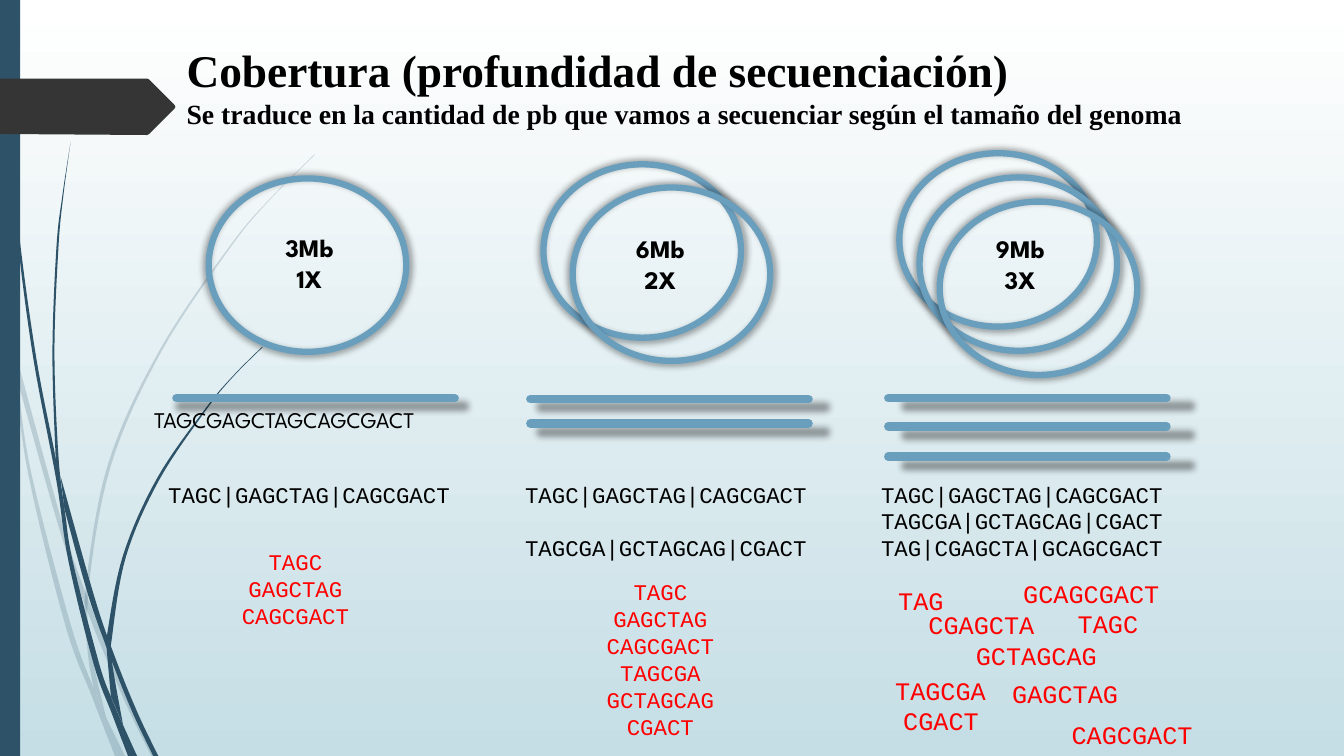
import pptx
import pptx.util
import pptx.dml.color
import pptx.enum.shapes
import pptx.enum.text
import pptx.oxml
from pptx.util import Inches

NS = 'xmlns:a="http://schemas.openxmlformats.org/drawingml/2006/main"'
GLOW = ('<a:outerShdw blurRad="63500" sx="102000" sy="102000" algn="ctr" rotWithShape="0">'
        '<a:srgbClr val="000000"><a:alpha val="40000"/></a:srgbClr></a:outerShdw>')
MONO, SPARTAN, SERIF = "Courier New", "League Spartan", "Times New Roman"
NAVY, BLUE, GREY, BLACK, RED = "2E5369", "699EBD", "353535", "000000", "FF0000"


def rgb(value):
    return pptx.dml.color.RGBColor.from_string(value)


def smooth(points, steps=8):
    """Catmull-Rom curve through the points."""
    pts = [points[0], *points, points[-1]]
    curve = [points[0]]
    for a, b, c, d in zip(pts, pts[1:], pts[2:], pts[3:]):
        for i in range(1, steps + 1):
            t = i / steps
            curve.append(tuple(
                (2 * q + (r - p) * t + (2 * p - 5 * q + 4 * r - z) * t ** 2
                 + (3 * q - p - 3 * r + z) * t ** 3) / 2
                for p, q, r, z in zip(a, b, c, d)))
    return curve


class Deck:
    def __init__(self):
        self.prs = pptx.Presentation()
        self.prs.slide_width, self.prs.slide_height = Inches(13.33), Inches(7.5)
        self.s = self.prs.slides.add_slide(self.prs.slide_layouts[5])

    def background(self, top, bottom):
        fill = self.s.background.fill
        fill.gradient()
        fill.gradient_angle = 270
        for stop, position, color in zip(fill.gradient_stops, (0, 1), (top, bottom)):
            stop.position = position
            stop.color.rgb = rgb(color)

    def paint(self, sp, color, alpha=100):
        sp.shadow.inherit = False
        sp.line.fill.background()
        sp.fill.solid()
        sp.fill.fore_color.rgb = rgb(color)
        if alpha < 100:
            clr = sp.fill._xPr.find(".//" + pptx.oxml.ns.qn("a:srgbClr"))
            clr.append(pptx.oxml.parse_xml(f'<a:alpha {NS} val="{alpha * 1000}"/>'))

    def polygon(self, points, color, alpha=100):
        emu = [(Inches(x), Inches(y)) for x, y in points]
        builder = self.s.shapes.build_freeform(*emu[0], scale=1.0)
        builder.add_line_segments(emu[1:], close=True)
        self.paint(builder.convert_to_shape(), color, alpha)

    def band(self, x, y, w, h, color):
        kind = pptx.enum.shapes.MSO_SHAPE.RECTANGLE
        sp = self.s.shapes.add_shape(kind, Inches(x), Inches(y), Inches(w), Inches(h))
        self.paint(sp, color)

    def outline(self, sp, width):
        sp.line.color.rgb = rgb(BLUE)
        sp.line.width = pptx.util.Pt(width)
        sp._element.spPr.append(pptx.oxml.parse_xml(f"<a:effectLst {NS}>{GLOW}</a:effectLst>"))

    def ring(self, x, y):
        kind = pptx.enum.shapes.MSO_SHAPE.OVAL
        sp = self.s.shapes.add_shape(kind, Inches(x), Inches(y), Inches(1.96), Inches(1.72))
        sp.fill.background()
        self.outline(sp, 4.5)

    def strand(self, x, y, length=2.76):
        kind = pptx.enum.shapes.MSO_CONNECTOR.STRAIGHT
        line = self.s.shapes.add_connector(kind, Inches(x), Inches(y), Inches(x + length), Inches(y))
        self.outline(line, 6)
        line.line._ln.set("cap", "rnd")

    def style(self, r, size, font, color, bold=False):
        r.font.size, r.font.name, r.font.bold = pptx.util.Pt(size), font, bold
        r.font.color.rgb = rgb(color)

    def title(self, x, y, w, h, lines, sizes):
        sp = self.s.shapes.title
        sp.left, sp.top, sp.width, sp.height = Inches(x), Inches(y), Inches(w), Inches(h)
        tf = sp.text_frame
        tf.auto_size = pptx.enum.text.MSO_AUTO_SIZE.NONE
        tf.word_wrap = True
        tf.vertical_anchor = pptx.enum.text.MSO_ANCHOR.TOP
        tf.margin_top = Inches(0.11)
        p = tf.paragraphs[0]
        p.text = "\v".join(lines)
        p.alignment = pptx.enum.text.PP_ALIGN.LEFT
        for r, size in zip(p.runs, sizes):
            self.style(r, size, SERIF, BLACK, True)

    def text(self, x, y, w, h, lines, size=16, font=MONO, color=BLACK,
             bold=False, center=False, gap=0):
        sp = self.s.shapes.add_textbox(Inches(x), Inches(y), Inches(w), Inches(h))
        tf = sp.text_frame
        tf.word_wrap = False
        tf.auto_size = pptx.enum.text.MSO_AUTO_SIZE.SHAPE_TO_FIT_TEXT
        tf.text = "\n".join(lines)
        align = pptx.enum.text.PP_ALIGN
        for i, p in enumerate(tf.paragraphs):
            p.alignment = align.CENTER if center else align.LEFT
            if gap and i:
                p.space_before = pptx.util.Pt(gap)
            for r in p.runs:
                self.style(r, size, font, color, bold)


# Wisps: right edge going down, left edge going up
FAINT_WISPS = [
    ([(0, 2.82), (0.09, 3.22), (0.17, 3.76), (0.31, 4.69), (0.7, 6.19), (0.93, 6.83), (1.05, 7.11), (1.24, 7.5)],
     [(1.14, 7.5), (0.92, 6.93), (0.65, 6.21), (0.28, 4.7), (0.11, 3.5), (0, 2.99)]),
    ([(0.14, 3.45), (0.62, 5.2), (0.88, 5.96), (1.27, 6.92), (1.55, 7.5)],
     [(1.5, 7.5), (1.23, 6.94), (0.88, 6.1), (0.58, 5.22), (0.17, 3.76)]),
    ([(3.12, 1.54), (2.68, 1.98), (2.29, 2.45), (1.6, 3.49), (1.1, 4.62), (0.88, 5.84), (0.91, 6.46), (1.05, 7.11)],
     [(0.93, 6.83), (0.87, 6.46), (0.85, 5.84), (1.07, 4.61), (1.58, 3.48), (2.28, 2.44), (2.68, 1.97), (3.12, 1.53)]),
]
DARK_WISPS = [
    ([(0.04, 0), (0.05, 0.48), (0.08, 1.09), (0.19, 2.32), (0.36, 3.55), (0.55, 4.53), (0.64, 5.05), (0.72, 5.56),
      (0.98, 6.57), (1.1, 6.91), (1.22, 7.19), (1.36, 7.5)],
     [(1.27, 7.5), (1.11, 7.08), (0.93, 6.59), (0.68, 5.57), (0.56, 4.77), (0.33, 3.55), (0.17, 2.33), (0.07, 1.1),
      (0.04, 0.48), (0.03, 0)]),
    ([(0.6, 4.72), (0.93, 5.9), (1.13, 6.49), (1.36, 7.06), (1.57, 7.5)],
     [(1.52, 7.5), (1.32, 7.08), (1.11, 6.56), (0.88, 5.92), (0.64, 5.05)]),
    ([(0.7, 1.41), (0.63, 1.93), (0.58, 2.45), (0.54, 3.49), (0.58, 4.53), (0.64, 5.05)],
     [(0.57, 4.77), (0.55, 4.49), (0.52, 3.49), (0.56, 2.45), (0.62, 1.93), (0.7, 1.41)]),
    ([(2.61, 3.44), (2.31, 3.74), (2.05, 4.06), (1.58, 4.76), (1.25, 5.52), (1.11, 6.33), (1.11, 6.56), (1.22, 7.19)],
     [(1.1, 6.91), (1.06, 6.45), (1.06, 6.31), (1.22, 5.51), (1.56, 4.74), (2.04, 4.05), (2.31, 3.73), (2.6, 3.44)]),
]
ARROW = [(0, 0.78), (1.46, 0.78), (1.48, 0.79), (1.73, 1.04), (1.74, 1.06), (1.73, 1.08),
         (1.48, 1.33), (1.46, 1.34), (0, 1.33)]

# Coverage columns: rings, label place, strand left and heights
COLUMNS = [
    ([(2.07, 1.77)], (2.7, 2.26), 1.75, [3.95]),
    ([(5.39, 1.63), (5.68, 1.86)], (6.18, 2.27), 5.26, [3.96, 4.2]),
    ([(8.92, 1.52), (9.12, 1.76), (9.32, 2)], (9.75, 2.27), 8.81, [3.95, 4.23, 4.53]),
]
READS = ["TAGC|GAGCTAG|CAGCGACT", "TAGCGA|GCTAGCAG|CGACT", "TAG|CGAGCTA|GCAGCGACT"]
FRAGMENTS = [part for read in READS[:2] for part in read.split("|")]
SCATTERED = [
    ("TAG", 8.81, 5.76), ("CGAGCTA", 9.11, 6), ("GCAGCGACT", 10.05, 5.69),
    ("TAGCGA", 8.78, 6.65), ("GCTAGCAG", 9.58, 6.3), ("CGACT", 8.86, 6.95),
    ("TAGC", 10.59, 5.99), ("GAGCTAG", 9.94, 6.68), ("CAGCGACT", 10.53, 7.09),
]


def main():
    d = Deck()
    d.background("FFFFFF", "C5DEE5")

    # Side decoration
    for wisps, alpha in ((FAINT_WISPS, 20), (DARK_WISPS, 100)):
        for right, left in wisps:
            d.polygon(smooth(right) + smooth(left), NAVY, alpha)
    d.band(0, 0, 0.2, 7.5, NAVY)
    d.polygon(ARROW, GREY)

    d.title(1.75, 0.31, 11.32, 0.83,
            ["Cobertura (profundidad de secuenciación)",
             "Se traduce en la cantidad de pb que vamos a secuenciar según el tamaño del genoma"],
            [32.4, 19.8])

    # Genomes and strands
    for depth, (rings, label, left, heights) in enumerate(COLUMNS, 1):
        for x, y in rings:
            d.ring(x, y)
        d.text(*label, 0.74, 0.71, [f"{3 * depth}Mb", f"{depth}X"], 18, SPARTAN, bold=True, center=True)
        for y in heights:
            d.strand(left, y)

    # Reads with cut points
    d.text(1.43, 3.98, 3.41, 0.37, [READS[0].replace("|", "")], font=SPARTAN)
    d.text(1.57, 4.72, 3.04, 0.37, READS[:1])
    d.text(5.11, 4.72, 3.04, 0.91, READS[:2], gap=19)
    d.text(8.64, 4.72, 3.04, 0.91, READS)

    # Fragments
    d.text(2.29, 5.39, 1.28, 0.91, FRAGMENTS[:3], color=RED, center=True)
    d.text(5.91, 5.69, 1.28, 1.72, FRAGMENTS, color=RED, center=True)
    for word, x, y in SCATTERED:
        d.text(x, y, 0.2 + 0.15 * len(word), 0.4, [word], 18, color=RED)

    d.prs.save("out.pptx")


if __name__ == "__main__":
    main()
